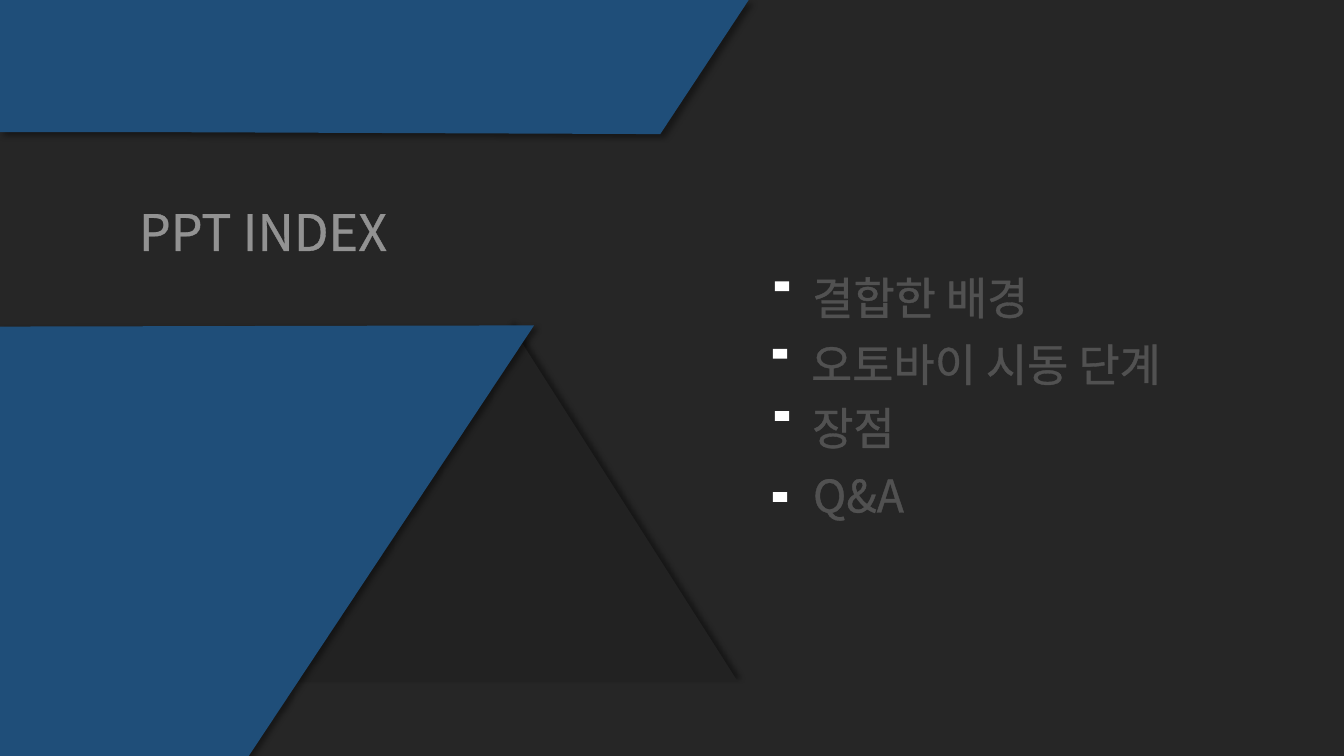
from lxml.etree import SubElement
from pptx import Presentation
from pptx.dml.color import RGBColor
from pptx.enum.shapes import MSO_SHAPE
from pptx.enum.text import MSO_ANCHOR, MSO_AUTO_SIZE, PP_ALIGN
from pptx.oxml.ns import qn
from pptx.util import Cm, Pt

# Content: lengths in centimetres
SLIDE_SIZE = (33.87, 19.05)
TITLE = ("PPT INDEX", (3.25, 4.93, 7.11, 1.8))
ENTRIES = [  # wording, marker corner, text corner, text height
    ("결합한 배경", (19.53, 7.09), (20.22, 6.68), 3.53),
    ("오토바이 시동 단계", (19.48, 8.79), (20.19, 8.36), 5.13),
    ("장점", (19.53, 10.36), (20.22, 9.96), 3.0),
    ("Q&A", (19.48, 12.4), (20.24, 11.66), 3.53),
]
MARKER_SIZE = (0.36, 0.25)
ENTRY_WIDTH = 12.83
TRIANGLE = (7.16, 8.2, 11.43, 8.97)
BANDS = [
    [(0, 0), (18.87, 0), (16.64, 3.38), (3.94, 3.33), (0, 3.33)],
    [(0, 8.23), (13.46, 8.2), (6.27, 19.05), (0, 19.05)],
]

THEME = {
    "background": "262626", "triangle": "222222", "band": "1F4E79",
    "text": "FFFFFF", "shadow": "000000",
    "font": "Noto Sans CJK KR", "title_size": 36, "entry_size": 32,
    "title_opacity": 50, "entry_opacity": 20, "shadow_opacity": 40,
}
FRAME_FORMAT = {
    "word_wrap": True,
    "auto_size": MSO_AUTO_SIZE.SHAPE_TO_FIT_TEXT,
    "vertical_anchor": MSO_ANCHOR.TOP,
}


def cm(values):
    return [Cm(value) for value in values]


def color(name):
    return RGBColor.from_string(THEME[name])


def apply(target, values):
    for name, value in values.items():
        setattr(target, name, value)


def add_color(parent, name, opacity):
    tint = SubElement(parent, qn("a:srgbClr"), val=THEME[name])
    SubElement(tint, qn("a:alpha"), val=str(opacity * 1000))


def paint(part, fill, shadow_angle=None):
    part.fill.solid()
    part.fill.fore_color.rgb = color(fill)
    part.line.fill.background()
    part.shadow.inherit = False
    if shadow_angle is not None:
        effects = part._element.spPr.find(qn("a:effectLst"))
        shadow = SubElement(
            effects, qn("a:outerShdw"), blurRad=str(Pt(4)), dist=str(Pt(3)),
            dir=str(shadow_angle * 60000), algn="tl", rotWithShape="0")
        add_color(shadow, "shadow", THEME["shadow_opacity"])


def write(shapes, wording, box, role):
    frame = shapes.add_textbox(*cm(box)).text_frame
    apply(frame, FRAME_FORMAT)
    paragraph = frame.paragraphs[0]
    paragraph.alignment = PP_ALIGN.LEFT
    run = paragraph.add_run()
    run.text = wording
    apply(run.font, {"size": Pt(THEME[role + "_size"]), "name": THEME["font"]})
    run.font.color.rgb = color("text")
    # Translucent outline, which precedes the fill, and the Korean font
    properties = run.font._element
    outline = SubElement(properties, qn("a:ln"), w=str(Pt(0.75)))
    properties.insert(0, outline)
    add_color(SubElement(outline, qn("a:solidFill")), "text",
              THEME[role + "_opacity"])
    SubElement(properties, qn("a:ea"), typeface=THEME["font"])


def main():
    deck = Presentation()
    apply(deck, dict(zip(("slide_width", "slide_height"), cm(SLIDE_SIZE))))
    slide = deck.slides.add_slide(deck.slide_layouts[6])
    slide.background.fill.solid()
    slide.background.fill.fore_color.rgb = color("background")

    # Dark triangle behind the blue bands
    triangle = slide.shapes.add_shape(
        MSO_SHAPE.ISOSCELES_TRIANGLE, *cm(TRIANGLE))
    paint(triangle, "triangle", 315)
    for corners in BANDS:
        start, *rest = [cm(corner) for corner in corners]
        outline = slide.shapes.build_freeform(*start)
        outline.add_line_segments(rest, close=True)
        paint(outline.convert_to_shape(), "band", 45)

    # Title
    write(slide.shapes, *TITLE, "title")

    # Index entries, each grouped with its marker
    for wording, marker_at, text_at, height in ENTRIES:
        entry = slide.shapes.add_group_shape().shapes
        marker = entry.add_shape(
            MSO_SHAPE.RECTANGLE, *cm(marker_at + MARKER_SIZE))
        paint(marker, "text")
        write(entry, wording, text_at + (ENTRY_WIDTH, height), "entry")

    deck.save("out.pptx")


if __name__ == "__main__":
    main()
